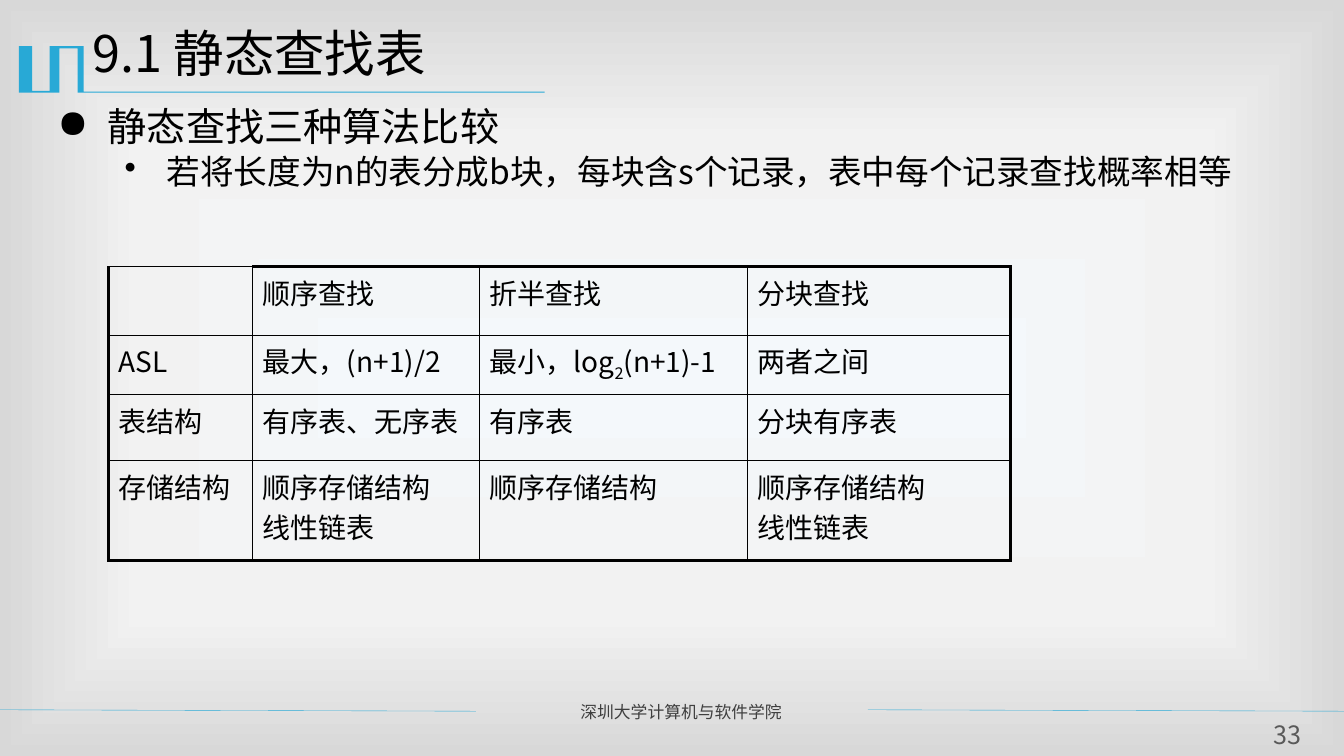
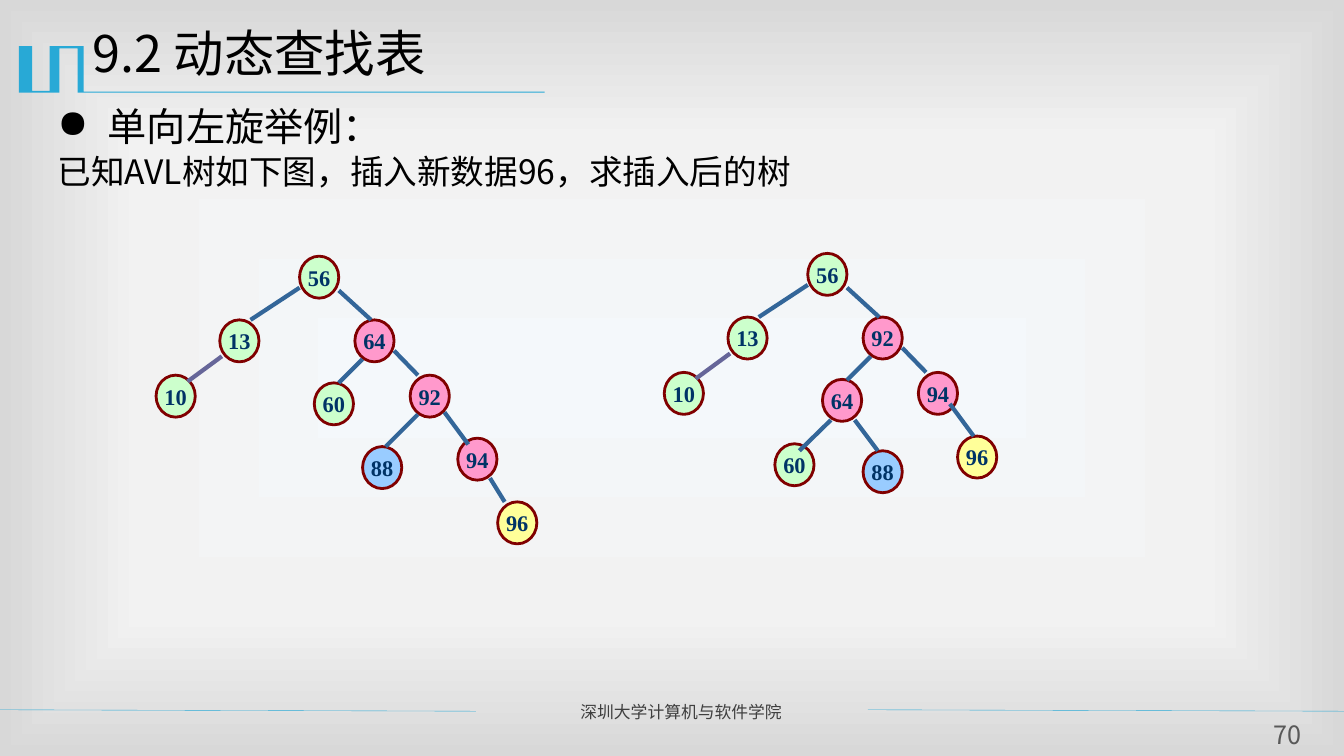
from dataclasses import dataclass
from typing import Any, NamedTuple

from lxml.etree import SubElement
from pptx import Presentation
from pptx.dml.color import RGBColor
from pptx.enum.shapes import MSO_CONNECTOR, MSO_SHAPE
from pptx.enum.text import MSO_ANCHOR, PP_ALIGN
from pptx.oxml.ns import qn
from pptx.util import Pt

SANS = "Noto Sans CJK SC"
SERIF = "Times New Roman"
BLUE, BLACK, DARK, GREY = "28A9D6", "000000", "3F3F3F", "595959"
GREEN, PINK, SKY, YELLOW = "CCFFCC", "FF99CC", "99CCFF", "FFFF99"
MAROON, NAVY, STEEL, PURPLE = "800000", "003366", "336699", "666699"
STOPS = ((0, "F4F8FB"), (63, "F2F2F2"), (100, "D8D8D8"))
MARK = (
    (59, 33), (59.8, 33), (59.8, 65.5), (389, 65.5), (389, 66.2), (55.5, 66.2),
    (55.5, 34.5), (42.5, 34.5), (42.5, 66.2), (13.5, 66.2), (13.5, 33),
    (23, 33), (23, 65), (35.5, 65), (35.5, 33),
)


class Box(NamedTuple):
    left: float
    top: float
    width: float
    height: float


class Node(NamedTuple):
    text: str
    x: float
    y: float
    fill: str


class Edge(NamedTuple):
    x1: float
    y1: float
    x2: float
    y2: float
    color: str = STEEL


class Tree(NamedTuple):
    x: float
    y: float
    nodes: tuple[Node, ...]
    edges: tuple[Edge, ...]


@dataclass
class Para:
    text: str
    size: float
    left: float = 0
    hang: float = 0
    bullet: str = ""


NODES = (
    Node("56", 102.5, 0, GREEN),
    Node("13", 45.5, 45.5, GREEN),
    Node("10", 0, 85, GREEN),
)
EDGES = (
    Edge(102.5, 22.5, 67.5, 45.5),
    Edge(47, 71.5, 22.5, 89.5, PURPLE),
    Edge(130.5, 24.5, 153.5, 45.5),
    Edge(147.5, 73.5, 130.5, 90.5),
    Edge(170, 67.5, 187, 85),
)
BEFORE = Tree(
    111.5, 183,
    NODES + (
        Node("64", 142, 45.5, PINK),
        Node("92", 181.5, 85, PINK),
        Node("60", 113, 90.5, GREEN),
        Node("94", 215.5, 130, PINK),
        Node("88", 147.5, 136, SKY),
        Node("96", 244, 175.5, YELLOW),
    ),
    EDGES + (
        Edge(249, 175.5, 238.5, 158.5),
        Edge(206, 111.5, 223, 134.5),
        Edge(187, 113, 164, 136),
    ),
)
AFTER = Tree(
    474.5, 181,
    NODES + (
        Node("92", 142, 45.5, PINK),
        Node("94", 181.5, 85, PINK),
        Node("64", 113, 90, PINK),
        Node("96", 209.5, 130.5, YELLOW),
        Node("60", 79, 136, GREEN),
        Node("88", 142, 141, SKY),
    ),
    EDGES + (
        Edge(221, 130.5, 204, 107.5),
        Edge(136, 119, 152.5, 141),
        Edge(119, 119, 96.5, 141),
    ),
)

COLS = (103, 162, 191.5, 188)
ROWS = (49, 42.5, 47, 71.5)
# A "~" marks the parts of a cell that are subscripts.
CELLS = (
    ("", "顺序查找", "折半查找", "分块查找"),
    ("ASL", "最大，(n+1)/2", "最小，log~2~(n+1)-1", "两者之间"),
    ("表结构", "有序表、无序表", "有序表", "分块有序表"),
    ("存储结构", "顺序存储结构\n线性链表", "顺序存储结构", "顺序存储结构\n线性链表"),
)


def rgb(color: str) -> RGBColor:
    return RGBColor.from_string(color)


def apply(target: Any, form: dict[str, Any]) -> None:
    for name, value in form.items():
        setattr(target, name, value)


def paint(shape: Any, color: str) -> None:
    shape.fill.solid()
    shape.fill.fore_color.rgb = rgb(color)


def write(para: Any, text: str, size: float, color: str = BLACK,
          face: str = SANS, bold: bool = False) -> Any:
    run = para.add_run()
    run.text = text
    apply(run.font, {"size": Pt(size), "bold": bold, "name": face})
    run.font.color.rgb = rgb(color)
    SubElement(run.font._element, qn("a:ea"), typeface=face)
    return run


def frame(slide: Any, box: Box, **form: Any) -> Any:
    text = slide.shapes.add_textbox(*map(Pt, box)).text_frame
    apply(text, {"word_wrap": True, **form})
    return text


def rule(slide: Any, edge: Edge, width: float) -> None:
    line = slide.shapes.add_connector(
        MSO_CONNECTOR.STRAIGHT, *map(Pt, edge[:4]))
    line.line.width = Pt(width)
    line.line.color.rgb = rgb(edge.color)
    SubElement(line._element.spPr, qn("a:effectLst"))


def shade(master: Any) -> None:
    """Give the master a gradient that spreads from the centre."""
    master.background.fill.gradient()
    grad = next(master._element.iter(qn("a:gradFill")))
    for child in list(grad):
        grad.remove(child)
    stops = SubElement(grad, qn("a:gsLst"))
    for place, color in STOPS:
        stop = SubElement(stops, qn("a:gs"), pos=str(place * 1000))
        SubElement(stop, qn("a:srgbClr"), val=color)
    way = SubElement(grad, qn("a:path"), path="rect")
    SubElement(way, qn("a:fillToRect"), l="50000", t="50000",
               r="50000", b="50000")


def start(deck: Any, title: str, number: str, paras: tuple[Para, ...]) -> Any:
    """Add a slide with its mark, footer, title and body text."""
    slide = deck.slides.add_slide(deck.slide_layouts[6])
    path = [(Pt(x), Pt(y)) for x, y in MARK]
    pen = slide.shapes.build_freeform(*path[0], scale=1.0)
    pen.add_line_segments(path[1:], close=True)
    mark = pen.convert_to_shape()
    mark.shadow.inherit = False
    paint(mark, BLUE)
    mark.line.fill.background()

    for left in (0, 620):
        rule(slide, Edge(left, 507, left + 340, 508, BLUE), 0.25)
    foot = frame(slide, Box(407.5, 497.5, 205, 21.5)).paragraphs[0]
    foot.alignment = PP_ALIGN.JUSTIFY
    write(foot, "深圳大学计算机与软件学院", 12, DARK)

    body(slide, paras)
    head = frame(slide, Box(59, 17.5, 864, 62.5)).paragraphs[0]
    head.line_spacing = 0.9
    write(head, title, 36)
    page = frame(slide, Box(898.5, 513.5, 42.5, 22), margin_left=0,
                 margin_right=0, margin_top=0, margin_bottom=0,
                 vertical_anchor=MSO_ANCHOR.MIDDLE).paragraphs[0]
    page.alignment = PP_ALIGN.CENTER
    write(page, number, 18, GREY)
    return slide


def body(slide: Any, paras: tuple[Para, ...]) -> None:
    text = frame(slide, Box(34, 75, 873, 132))
    for i, item in enumerate(paras):
        para = text.add_paragraph() if i else text.paragraphs[0]
        para.line_spacing = 0.85
        if i:
            para.space_before = Pt(5)
        if item.bullet:
            props = para._p.get_or_add_pPr()
            props.set("marL", str(Pt(item.left)))
            props.set("indent", str(-Pt(item.hang)))
            SubElement(props, qn("a:buChar"), char=item.bullet)
        write(para, item.text, item.size)


def border(cell: Any, sides: dict[str, float]) -> None:
    props = cell._tc.get_or_add_tcPr()
    for i, (side, width) in enumerate(sides.items()):
        line = SubElement(props, qn(f"a:ln{side}"), w=str(Pt(width)))
        fill = SubElement(line, qn("a:solidFill"))
        SubElement(fill, qn("a:srgbClr"), val=BLACK)
        props.insert(i, line)


def table(slide: Any) -> None:
    box = Box(77.5, 190.5, sum(COLS), sum(ROWS))
    grid = slide.shapes.add_table(
        len(ROWS), len(COLS), *map(Pt, box)).table
    apply(grid, {"first_row": False, "horz_banding": False})
    for col, width in zip(grid.columns, COLS):
        col.width = Pt(width)
    for r, (row, height) in enumerate(zip(grid.rows, ROWS)):
        row.height = Pt(height)
        for c, cell in enumerate(row.cells):
            cell.fill.background()
            thick = {"L": c == 0, "R": c == len(COLS) - 1,
                     "T": r == 0 and c > 0, "B": r == len(ROWS) - 1}
            border(cell, {s: 2.25 if on else 1 for s, on in thick.items()})
            for i, line in enumerate(CELLS[r][c].split("\n")):
                text = cell.text_frame
                para = text.add_paragraph() if i else text.paragraphs[0]
                for j, part in enumerate(line.split("~")):
                    run = write(para, part, 20)
                    if j % 2:
                        run.font._element.set("baseline", "-25000")


def draw(slide: Any, tree: Tree) -> None:
    for node in tree.nodes:
        box = Box(tree.x + node.x, tree.y + node.y, 28, 30)
        ball = slide.shapes.add_shape(MSO_SHAPE.OVAL, *map(Pt, box))
        ball.shadow.inherit = False
        paint(ball, node.fill)
        ball.line.width = Pt(2)
        ball.line.color.rgb = rgb(MAROON)
        apply(ball.text_frame, {
            "word_wrap": False, "vertical_anchor": MSO_ANCHOR.MIDDLE,
            "margin_left": 0, "margin_right": 0})
        para = ball.text_frame.paragraphs[0]
        para.alignment = PP_ALIGN.CENTER
        write(para, node.text, 16, NAVY, SERIF, True)
    for x1, y1, x2, y2, color in tree.edges:
        rule(slide, Edge(tree.x + x1, tree.y + y1,
                         tree.x + x2, tree.y + y2, color), 3)


def main() -> None:
    deck = Presentation()
    apply(deck, {"slide_width": Pt(960), "slide_height": Pt(540)})
    shade(deck.slide_master)

    table(start(deck, "9.1 静态查找表", "33", (
        Para("静态查找三种算法比较", 28, 36, 36, "●"),
        Para("若将长度为n的表分成b块，每块含s个记录，表中每个记录查找概率相等",
             24, 78, 30, "•"),
    )))
    slide = start(deck, "9.2 动态查找表", "70", (
        Para("单向左旋举例：", 28, 36, 36, "●"),
        Para("已知AVL树如下图，插入新数据96，求插入后的树", 24),
    ))
    for tree in (BEFORE, AFTER):
        draw(slide, tree)
    deck.save("out.pptx")


if __name__ == "__main__":
    main()
